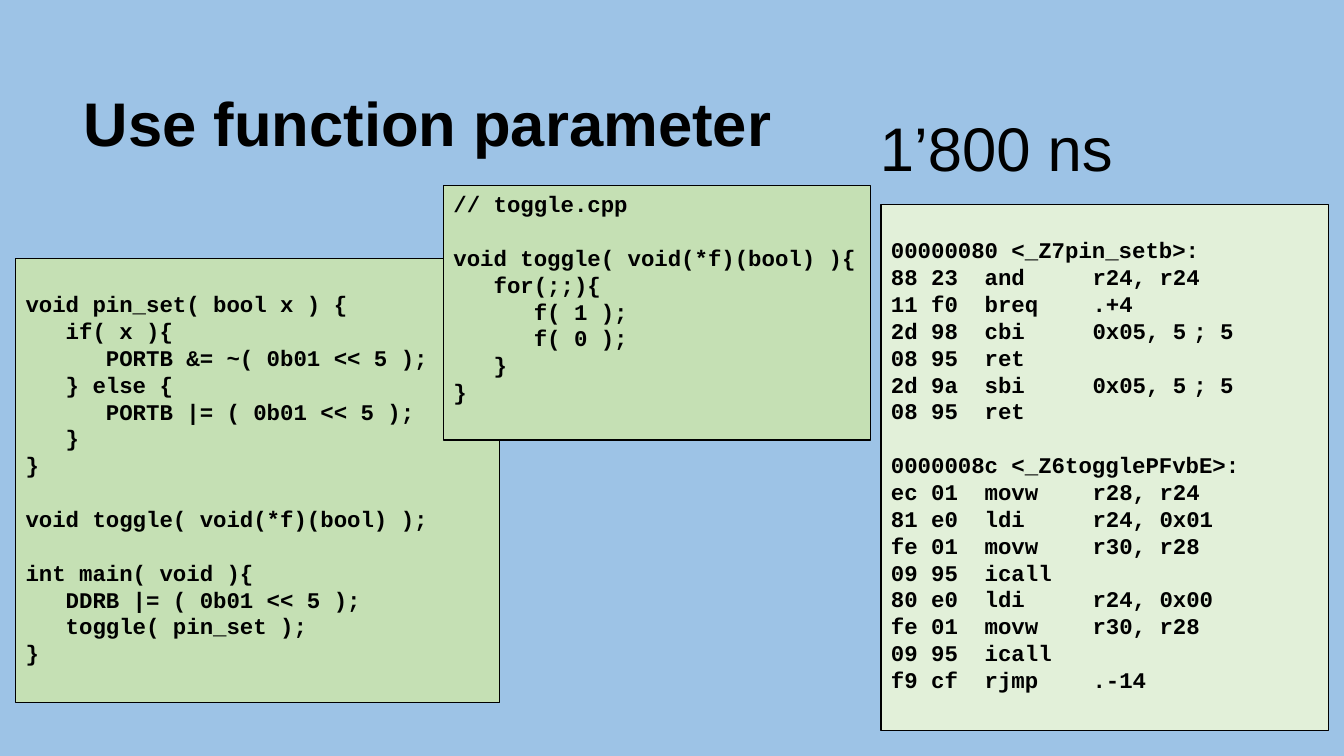
from dataclasses import dataclass

from lxml import etree
from pptx import Presentation
from pptx.dml.color import RGBColor
from pptx.enum.shapes import MSO_SHAPE
from pptx.enum.text import MSO_ANCHOR, MSO_AUTO_SIZE, PP_ALIGN
from pptx.oxml.ns import qn
from pptx.util import Pt

RECTANGLE = MSO_SHAPE.RECTANGLE
TOP, MIDDLE = MSO_ANCHOR.TOP, MSO_ANCHOR.MIDDLE
NO_FIT = MSO_AUTO_SIZE.NONE
LEFT = PP_ALIGN.LEFT

PIN_SET_SOURCE = """void pin_set( bool x ) {
   if( x ){
      PORTB &= ~( 0b01 << 5 );
   } else {
      PORTB |= ( 0b01 << 5 );
   }
}

void toggle( void(*f)(bool) );

int main( void ){
   DDRB |= ( 0b01 << 5 );
   toggle( pin_set );
}"""

TOGGLE_SOURCE = """// toggle.cpp

void toggle( void(*f)(bool) ){
   for(;;){
      f( 1 );
      f( 0 );
   }
}"""

ASSEMBLY = """00000080 <_Z7pin_setb>:
88 23  and\tr24, r24
11 f0  breq\t.+4
2d 98  cbi\t0x05, 5\t; 5
08 95  ret
2d 9a  sbi\t0x05, 5\t; 5
08 95  ret

0000008c <_Z6togglePFvbE>:
ec 01  movw\tr28, r24
81 e0  ldi\tr24, 0x01
fe 01  movw\tr30, r28
09 95  icall
80 e0  ldi\tr24, 0x00
fe 01  movw\tr30, r28
09 95  icall
f9 cf  rjmp\t.-14"""


@dataclass(frozen=True)
class Theme:
    background: RGBColor = RGBColor(0x9D, 0xC3, 0xE6)
    source_fill: RGBColor = RGBColor(0xC5, 0xE0, 0xB4)
    assembly_fill: RGBColor = RGBColor(0xE2, 0xF0, 0xD9)
    ink: RGBColor = RGBColor(0, 0, 0)
    text_font: str = "Arial"
    code_font: str = "Courier New"
    title_size: float = 44
    code_size: float = 16
    code_line: float = 19.2
    border: float = 0.75
    inset: float = 3.6
    tab_stops: tuple = (144, 216)


class SlideBuilder:
    def __init__(self, deck, theme):
        self.theme = theme
        self.page = deck.slides.add_slide(deck.slide_layouts[5])
        fill = self.page.background.fill
        fill.solid()
        fill.fore_color.rgb = theme.background

    def set_text(self, frame, text, font, size, bold, spacing):
        frame.word_wrap = True
        frame.auto_size = NO_FIT
        frame.text = text
        for para in frame.paragraphs:
            para.alignment = LEFT
            para.line_spacing = spacing
            for span in para.runs:
                span.font.name = font
                span.font.size = Pt(size)
                span.font.bold = bold
                span.font.color.rgb = self.theme.ink

    def title(self, text, left, top, width, height):
        box = self.page.shapes.title
        box.left, box.top = Pt(left), Pt(top)
        box.width, box.height = Pt(width), Pt(height)
        box.text_frame.vertical_anchor = MIDDLE
        self.set_text(box.text_frame, text, self.theme.text_font, self.theme.title_size, True, 0.9)

    def label(self, text, left, top, width, height):
        box = self.page.shapes.add_textbox(Pt(left), Pt(top), Pt(width), Pt(height))
        self.set_text(box.text_frame, text, self.theme.text_font, self.theme.title_size, False, 0.9)

    def code(self, text, left, top, width, height, fill, lead_lines=0):
        theme = self.theme
        box = self.page.shapes.add_shape(RECTANGLE, Pt(left), Pt(top), Pt(width), Pt(height))
        box.shadow.inherit = False
        box.fill.solid()
        box.fill.fore_color.rgb = fill
        box.line.color.rgb = theme.ink
        box.line.width = Pt(theme.border)
        frame = box.text_frame
        frame.vertical_anchor = TOP
        frame.margin_top = Pt(theme.inset + lead_lines * theme.code_line)
        self.set_text(frame, text, theme.code_font, theme.code_size, True, Pt(theme.code_line))
        for para in frame.paragraphs:
            if "\t" in para.text:
                self.add_tabs(para)

    def add_tabs(self, para):
        tabs = etree.SubElement(para._p.get_or_add_pPr(), qn("a:tabLst"))
        for stop in self.theme.tab_stops:
            etree.SubElement(tabs, qn("a:tab"), pos=str(Pt(stop)), algn="l")


def main():
    deck = Presentation()
    deck.slide_width, deck.slide_height = Pt(960), Pt(540)
    theme = Theme()
    slide = SlideBuilder(deck, theme)
    slide.title("Use function parameter", 52.5, 38, 828, 104.5)
    slide.code(PIN_SET_SOURCE, 11.2, 184.5, 345.6, 317.3, theme.source_fill, lead_lines=1)
    slide.code(TOGGLE_SOURCE, 316.8, 132.3, 305.2, 182, theme.source_fill)
    slide.code(ASSEMBLY, 629.3, 146, 319.5, 375.7, theme.assembly_fill, lead_lines=1)
    slide.label("1’800 ns", 621.5, 81, 227.5, 63.4)
    deck.save("out.pptx")


if __name__ == "__main__":
    main()
